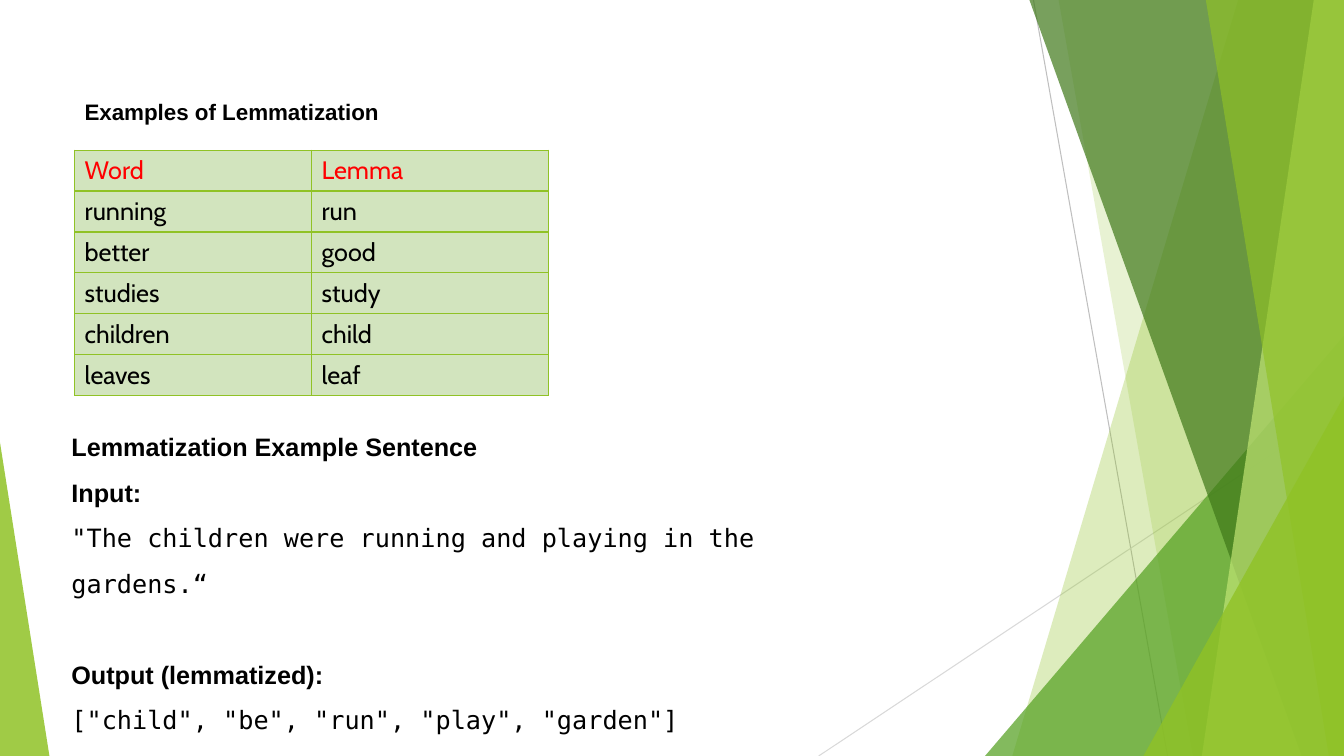
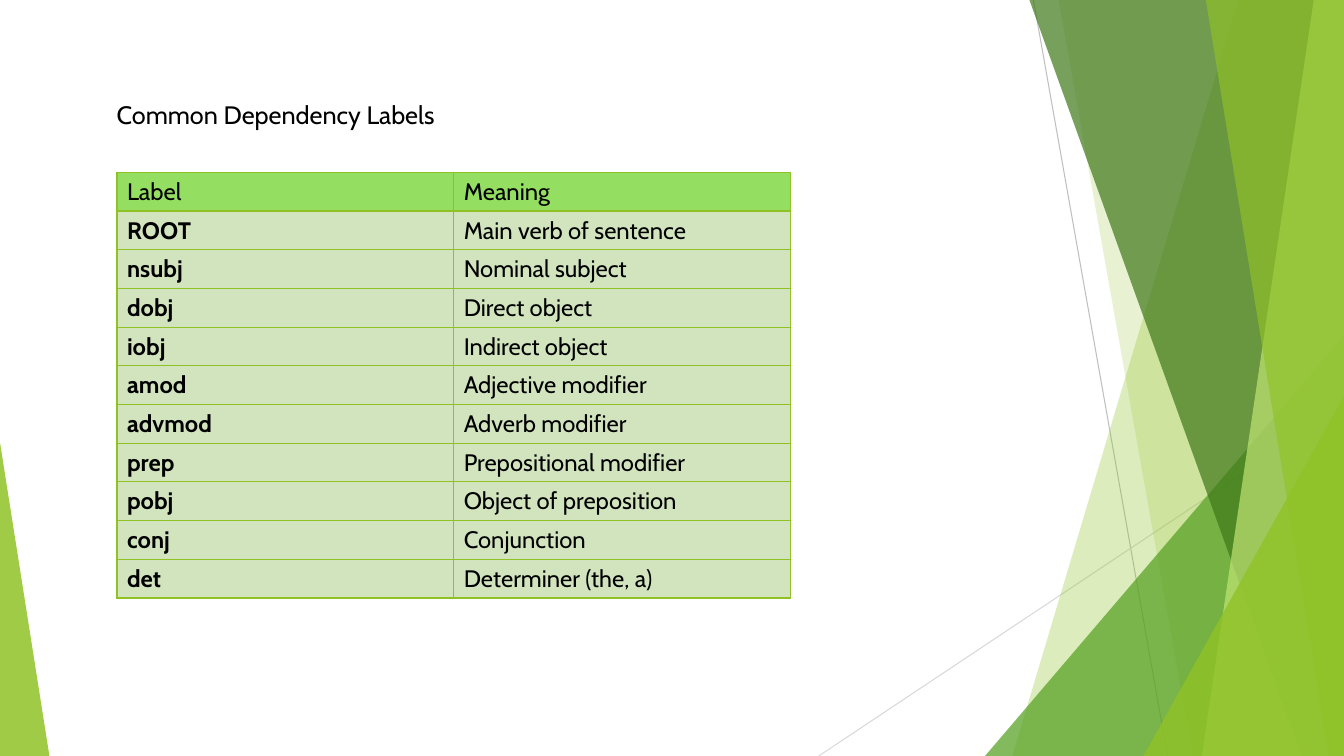
from lxml import etree
from pptx import Presentation
from pptx.dml.color import RGBColor
from pptx.enum.shapes import MSO_CONNECTOR as CONN, MSO_SHAPE as SHAPE
from pptx.enum.text import MSO_ANCHOR as ANCHOR
from pptx.oxml import parse_xml
from pptx.oxml.ns import nsdecls, qn
from pptx.util import Inches, Pt

LIME = RGBColor(0x90, 0xC2, 0x26)
GREEN = RGBColor(0x54, 0xA0, 0x21)
FOREST = RGBColor(0x3F, 0x78, 0x19)
PALE_LIME = RGBColor(0xC0, 0xE4, 0x74)
CELL_GREEN = RGBColor(0xD2, 0xE4, 0xBE)
HEAD_GREEN = RGBColor(0x94, 0xDE, 0x61)
GREY = RGBColor(0xBF, 0xBF, 0xBF)
LIGHT_GREY = RGBColor(0xD9, 0xD9, 0xD9)
BLACK = RGBColor(0, 0, 0)
RED = RGBColor(0xFF, 0, 0)
SANS, BODY, MONO = "Arial", "Cabin", "DejaVu Sans Mono"
W, H = 13.33, 7.5


def write(tf, text, font=BODY, size=18, color=BLACK, bold=False, line=None, before=None):
    """Add one formatted paragraph, using the first one while it is empty."""
    p = tf.paragraphs[-1] if not tf.text else tf.add_paragraph()
    p.line_spacing, p.space_before = line, before
    r = p.add_run()
    r.text = text
    r.font.name, r.font.size, r.font.bold = font, Pt(size), bold
    r.font.color.rgb = color


def add_grid(s, x, y, col_w, row_h, rows, size, head_color, head_fill, bold_labels):
    """Add a bordered table whose first row is the heading."""
    tbl = s.shapes.add_table(len(rows), len(rows[0]), Inches(x), Inches(y),
                             Inches(col_w * len(rows[0])), Inches(row_h * len(rows))).table
    tbl.first_row = tbl.horz_banding = False
    for col in tbl.columns:
        col.width = Inches(col_w)
    for i, row in enumerate(rows):
        for j, text in enumerate(row):
            cell = tbl.cell(i, j)
            cell.vertical_anchor = ANCHOR.MIDDLE
            for side in "LRTB":
                cell._tc.get_or_add_tcPr().append(parse_xml(
                    f'<a:ln{side} {nsdecls("a")} w="{Pt(1)}"><a:solidFill>'
                    f'<a:srgbClr val="{LIME}"/></a:solidFill></a:ln{side}>'))
            cell.fill.solid()
            cell.fill.fore_color.rgb = CELL_GREEN if i else head_fill
            write(cell.text_frame, text, size=size, color=BLACK if i else head_color,
                  bold=bold_labels and i > 0 and j == 0)


prs = Presentation()
prs.slide_width, prs.slide_height = Inches(W), Inches(H)
blank = prs.slide_layouts[6]
for ph in list(blank.placeholders):
    blank.shapes.element.remove(ph.element)
s = prs.slides.add_slide(blank)

# Shared decoration: drawn once, then moved to the layout
for x1, y1, x2, y2, color in [(10.25, 0, 11.58, H, GREY), (W, 4.03, 8.12, H, LIGHT_GREY)]:
    ray = s.shapes.add_connector(CONN.STRAIGHT, Inches(x1), Inches(y1), Inches(x2), Inches(y2))
    ray.line.color.rgb, ray.line.width = color, Pt(0.75)
    etree.SubElement(ray.element.spPr, qn("a:effectLst"))

# A band has its left edge at top and bottom; a triangle has its box and apex
facets = [
    ("band", (12.28, 10.04), LIME, 30),
    ("band", (10.5, 11.83), LIME, 20),
    ("triangle", (9.77, 3.33, 3.56, 4.17, 1), GREEN, 72),
    ("band", (10.21, 12.91), FOREST, 70),
    ("band", (13.03, 11.92), PALE_LIME, 70),
    ("band", (11.96, 13.18), LIME, 65),
    ("triangle", (11.34, 3.93, 1.99, 3.57, 1), LIME, 80),
    ("triangle", (0, 4.39, 0.49, 3.11, 0), LIME, 85),
]
for kind, geometry, color, opacity in facets:
    if kind == "band":
        top, bottom = geometry
        outline = s.shapes.build_freeform(Inches(top), 0)
        outline.add_line_segments([(Inches(x), Inches(y)) for x, y in
                                   [(W, 0), (W, H), (bottom, H)]], close=True)
        sp = outline.convert_to_shape()
    else:
        *box, apex = geometry
        sp = s.shapes.add_shape(SHAPE.ISOSCELES_TRIANGLE, *map(Inches, box))
        sp.adjustments[0] = apex
    sp.shadow.inherit = False
    sp.line.fill.background()
    sp.fill.solid()
    sp.fill.fore_color.rgb = color
    clr = sp.element.spPr.find(qn("a:solidFill")).find(qn("a:srgbClr"))
    etree.SubElement(clr, qn("a:alpha")).set("val", str(opacity * 1000))

for sp in list(s.shapes):
    blank.shapes.element.append(sp.element)

# Slide 1: lemmatization
add_grid(s, 0.74, 1.49, 2.35, 0.4, [
    ("Word", "Lemma"),
    ("running", "run"),
    ("better", "good"),
    ("studies", "study"),
    ("children", "child"),
    ("leaves", "leaf"),
], size=18, head_color=RED, head_fill=CELL_GREEN, bold_labels=False)

heading = s.shapes.add_textbox(Inches(0.74), Inches(0.92), Inches(6.23), Inches(0.36))
write(heading.text_frame, "Examples of Lemmatization", font=SANS, size=16, bold=True)

example = s.shapes.add_textbox(Inches(0.61), Inches(4.08), Inches(7.11), Inches(3.26))
example.text_frame.word_wrap = True
LINE = Pt(32.5)
for text, is_code, before in [
    ("Lemmatization Example Sentence", False, None),
    ("Input:", False, None),
    ('"The children were running and playing in the gardens.“', True, None),
    ("Output (lemmatized):", False, LINE),
    ('["child", "be", "run", "play", "garden"]', True, None),
]:
    write(example.text_frame, text, font=MONO if is_code else SANS, bold=not is_code,
          line=LINE, before=before)

# Slide 2: dependency labels
s = prs.slides.add_slide(blank)
heading = s.shapes.add_textbox(Inches(1.06), Inches(0.94), Inches(6.67), Inches(0.4))
write(heading.text_frame, "Common Dependency Labels")

add_grid(s, 1.16, 1.71, 3.34, 0.38, [
    ("Label", "Meaning"),
    ("ROOT", "Main verb of sentence"),
    ("nsubj", "Nominal subject"),
    ("dobj", "Direct object"),
    ("iobj", "Indirect object"),
    ("amod", "Adjective modifier"),
    ("advmod", "Adverb modifier"),
    ("prep", "Prepositional modifier"),
    ("pobj", "Object of preposition"),
    ("conj", "Conjunction"),
    ("det", "Determiner (the, a)"),
], size=17, head_color=BLACK, head_fill=HEAD_GREEN, bold_labels=True)

prs.save("out.pptx")
